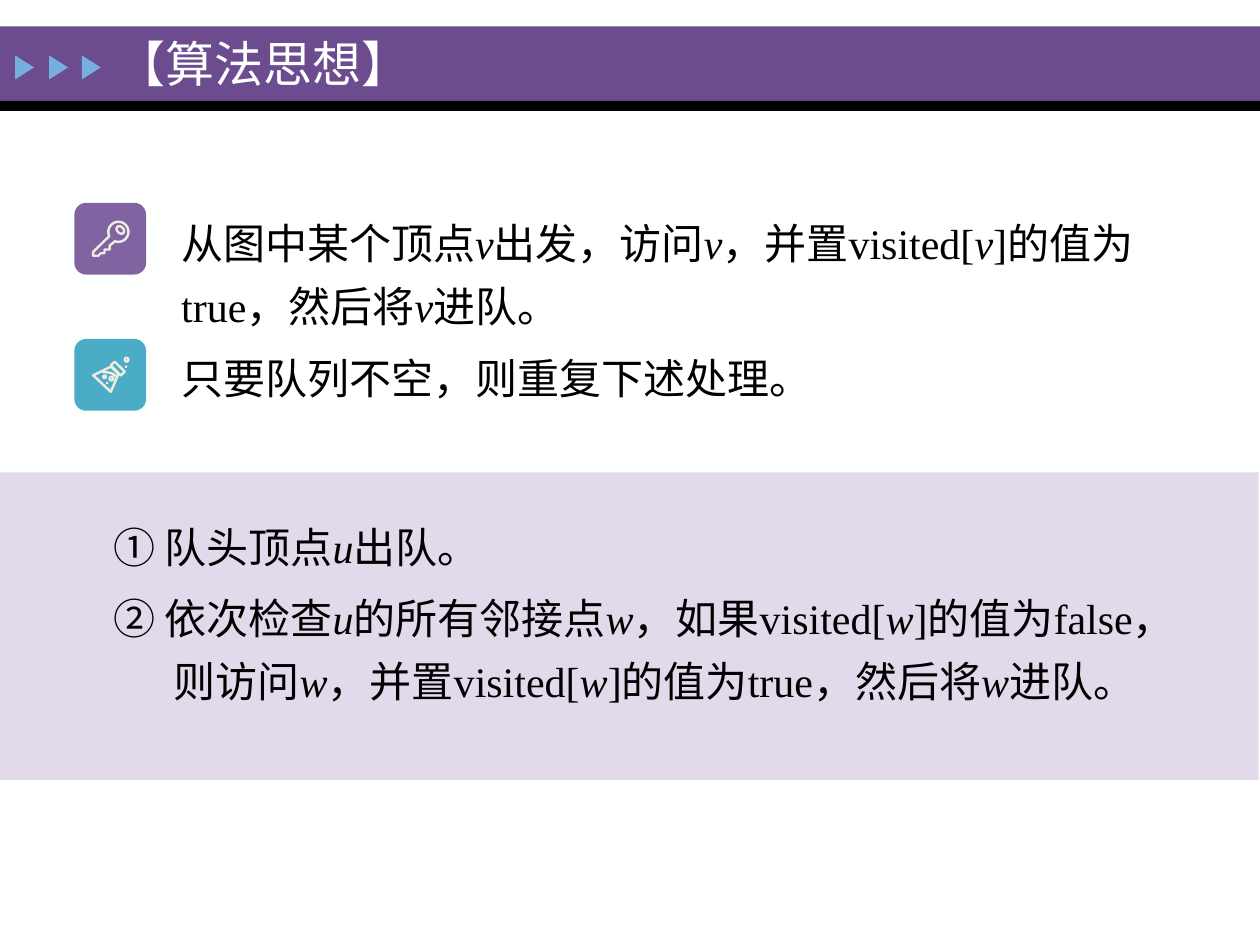
"""Build the slide that explains the idea of breadth-first search."""
import math

import pptx
import pptx.dml.color
import pptx.enum.shapes
import pptx.enum.text
import pptx.util

Inches = pptx.util.Inches
Pt = pptx.util.Pt
Kind = pptx.enum.shapes.MSO_SHAPE


def color(value):
    return pptx.dml.color.RGBColor.from_string(value)


def style(shape, fill=None, line=None):
    shape.shadow.inherit = False
    if fill:
        shape.fill.solid()
        shape.fill.fore_color.rgb = color(fill)
    else:
        shape.fill.background()
    if line:
        shape.line.color.rgb = color(line)
        shape.line.width = Pt(1.4)
    else:
        shape.line.fill.background()


deck = pptx.Presentation()
deck.slide_width, deck.slide_height = Inches(10), Inches(7.5)
page = deck.slides.add_slide(deck.slide_layouts[6])
page.background.fill.solid()
page.background.fill.fore_color.rgb = color("FEFFFF")

cream = "EEECE1"
blocks = [
    (Kind.RECTANGLE, (0, 0.21, 10, 0.59), 0, "6C4C8F", None),
    (Kind.RECTANGLE, (0, 0.8, 10, 0.08), 0, "000000", None),
]
for left in (0.1, 0.37, 0.63):
    blocks.append((Kind.ISOSCELES_TRIANGLE, (left, 0.46, 0.19, 0.15), 90, "76AEDD", None))
blocks += [
    (Kind.RECTANGLE, (-0.01, 3.75, 10, 2.44), 0, "E2D9EB", None),
    (Kind.ROUNDED_RECTANGLE, (0.59, 1.61, 0.57, 0.57), 0, "8064A2", None),
    (Kind.ROUNDED_RECTANGLE, (0.59, 2.69, 0.57, 0.57), 0, "4BACC6", None),
    (Kind.OVAL, (0.92, 1.8, 0.07, 0.05), 45, None, cream),
]
for left, top, size in ((0.87, 2.99, 0.03), (0.99, 2.84, 0.03), (0.82, 2.98, 0.02)):
    blocks.append((Kind.OVAL, (left, top, size, size), 0, None, cream))
for left, top in ((0.84, 3.03), (0.99, 2.9)):
    blocks.append((Kind.OVAL, (left, top, 0.02, 0.02), 0, cream, None))
for kind, place, angle, fill, line in blocks:
    shape = page.shapes.add_shape(kind, *map(Inches, place))
    shape.rotation = angle
    style(shape, fill, line)

key_head = [
    (0.94 + 0.08 * math.cos(math.radians(angle)), 1.84 + 0.08 * math.sin(math.radians(angle)))
    for angle in range(155, 471, 15)
]
key_teeth = [(0.87, 1.95), (0.87, 1.98), (0.83, 1.98), (0.83, 2.01),
             (0.8, 2.01), (0.78, 2.03), (0.74, 2.03), (0.74, 2)]
flask_lip = [(0.91, 2.87), (0.99, 2.95), (0.96, 2.98), (0.88, 2.9)]
flask_body = [(0.88, 2.91), (0.74, 2.98), (0.88, 3.11), (0.94, 2.97)]
flask_level = [(0.81, 2.95), (0.88, 2.96), (0.93, 2.99)]
outlines = [(key_head + key_teeth, True), (flask_lip, True), (flask_body, True), (flask_level, False)]
for points, closed in outlines:
    corners = [(Inches(x), Inches(y)) for x, y in points]
    builder = page.shapes.build_freeform(*corners[0])
    builder.add_line_segments(corners[1:], close=closed)
    style(builder.convert_to_shape(), None, cream)

title_font = {"size": Pt(28), "name": "Times New Roman"}
body_font = {"size": Pt(24), "name": "Times New Roman"}
texts = [
    ((0.83, 0.17, 4.13, 0.66), title_font, "FEFFFF", 1, ["【算法思想】"], [(0, 0)]),
    ((1.34, 1.58, 8.54, 1.7), body_font, "000000", 1.25,
     ["从图中某个顶点*v*出发，访问*v*，并置visited[*v*]的值为true，然后将*v*进队。",
      "只要队列不空，则重复下述处理。"], [(0, 0), (0, 0)]),
    ((0.59, 3.99, 8.98, 1.65), body_font, "000000", 1.25,
     ["① 队头顶点*u*出队。",
      "② 依次检查*u*的所有邻接点*w*，如果visited[*w*]的值为false，则访问*w*，"
      "并置visited[*w*]的值为true，然后将*w*进队。"], [(0.21, 0), (0.69, -0.48)]),
]
for place, font_format, ink, spacing, lines, indents in texts:
    box = page.shapes.add_textbox(*map(Inches, place))
    frame = box.text_frame
    frame.word_wrap = True
    if font_format is title_font:
        frame.vertical_anchor = pptx.enum.text.MSO_ANCHOR.MIDDLE
    for index, (line, (margin, indent)) in enumerate(zip(lines, indents)):
        para = frame.add_paragraph() if index else frame.paragraphs[0]
        para.line_spacing = spacing
        para.space_before = Pt(4.8 if index else 0)
        properties = para._p.get_or_add_pPr()
        properties.set("marL", str(Inches(margin)))
        properties.set("indent", str(Inches(indent)))
        for position, words in enumerate(line.split("*")):
            span = para.add_run()
            span.text = words
            for name, value in font_format.items():
                setattr(span.font, name, value)
            span.font.italic = position % 2 == 1
            span.font.color.rgb = color(ink)

deck.save("out.pptx")
